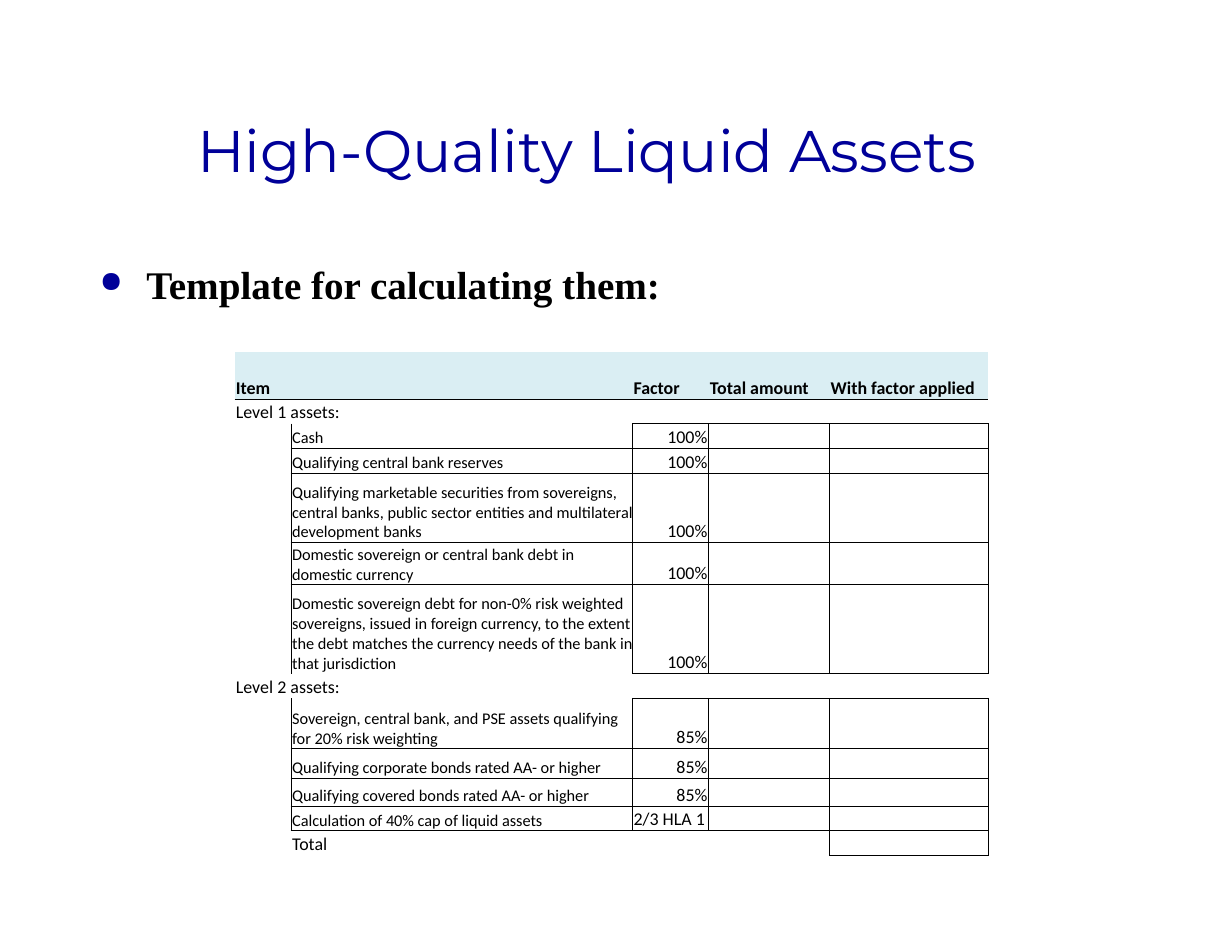
from lxml.etree import SubElement
from pptx import Presentation
from pptx.dml.color import RGBColor
from pptx.enum.text import MSO_ANCHOR, PP_ALIGN
from pptx.oxml.ns import qn
from pptx.util import Pt

PX = 9144
COLORS = {"navy": "000099", "black": "000000", "header": "DAEEF3", "white": "FFFFFF"}


def write(paragraph, text, color="black", **font):
    run = paragraph.add_run()
    run.text = text
    run.font.color.rgb = RGBColor.from_string(COLORS[color])
    for name, value in font.items():
        setattr(run.font, name, value)


def draw_borders(cell, sides, width):
    properties = cell._tc.get_or_add_tcPr()
    for side in sides:
        line = SubElement(properties, qn(f"a:ln{side}"), w=str(Pt(width)))
        fill = SubElement(line, qn("a:solidFill"))
        SubElement(fill, qn("a:srgbClr"), val=COLORS["black"])


presentation = Presentation()
presentation.slide_width = 1050 * PX
presentation.slide_height = 800 * PX
slide = presentation.slides.add_slide(presentation.slide_layouts[6])

title_area = slide.shapes.add_textbox(75 * PX, 67 * PX, 850 * PX, 125 * PX)
title_area.fill.solid()
title_area.fill.fore_color.rgb = RGBColor.from_string(COLORS["white"])
title = title_area.text_frame
title.word_wrap = True
title.vertical_anchor = MSO_ANCHOR.MIDDLE
heading = title.paragraphs[0]
for name, value in {"alignment": PP_ALIGN.CENTER, "line_spacing": 0.95}.items():
    setattr(heading, name, value)
write(heading, "High-Quality Liquid Assets", "navy", name="Montserrat", size=Pt(36))

body = slide.shapes.add_textbox(75 * PX, 217 * PX, 850 * PX, 450 * PX).text_frame
body.word_wrap = True
intro = body.paragraphs[0]
intro.space_before = Pt(4.8)
intro_properties = intro._p.get_or_add_pPr()
intro_properties.set("marL", str(40 * PX))
intro_properties.set("indent", str(-40 * PX))
bullet_color = SubElement(intro_properties, qn("a:buClr"))
SubElement(bullet_color, qn("a:srgbClr"), val=COLORS["navy"])
SubElement(intro_properties, qn("a:buSzPct"), val="75000")
SubElement(intro_properties, qn("a:buChar"), char="●")
write(intro, "Template for calculating them:", name="Times New Roman", size=Pt(24), bold=True)

HEADER = ["Item", "", "Factor", "Total amount", "With factor applied"]
ROWS = [
    (40, "header", HEADER),
    (21, "level", ["Level 1 assets:"]),
    (21, "asset", ["", "Cash", "100%"]),
    (21, "asset", ["", "Qualifying central bank reserves", "100%"]),
    (59, "asset", ["", "Qualifying marketable securities from sovereigns, central banks, "
                   "public sector entities and multilateral development banks", "100%"]),
    (36, "asset", ["", "Domestic sovereign or central bank debt in domestic currency", "100%"]),
    (76, "asset", ["", "Domestic sovereign debt for non-0% risk weighted sovereigns, issued in "
                   "foreign currency, to the extent the debt matches the currency needs of "
                   "the bank in that jurisdiction", "100%"]),
    (21, "level", ["Level 2 assets:"]),
    (43, "asset", ["", "Sovereign, central bank, and PSE assets qualifying for 20% risk weighting",
                   "85%"]),
    (25, "asset", ["", "Qualifying corporate bonds rated AA- or higher", "85%"]),
    (24, "asset", ["", "Qualifying covered bonds rated AA- or higher", "85%"]),
    (21, "asset", ["", "Calculation of 40% cap of liquid assets", "2/3 HLA 1"]),
    (21, "total", ["", "Total"]),
]
COLUMN_WIDTHS = [48, 291, 65, 103, 135]
BORDERS = {
    "header": ["B"] * 5,
    "level": ["", "", "B", "B", "B"],
    "asset": ["R", "LRB", "LRTB", "LRTB", "LRTB"],
    "total": ["", "T", "T", "TR", "LRTB"],
}
CELL_FORMAT = {
    "vertical_anchor": MSO_ANCHOR.BOTTOM,
    "margin_left": PX, "margin_right": PX, "margin_top": PX, "margin_bottom": 0,
}

assets_frame = slide.shapes.add_table(
    len(ROWS), len(COLUMN_WIDTHS), 200 * PX, 300 * PX,
    sum(COLUMN_WIDTHS) * PX, sum(row[0] for row in ROWS) * PX)
assets = assets_frame.table
assets.first_row = False
assets.horz_banding = False
assets._tbl.tblPr.find(qn("a:tableStyleId")).text = "{2D5ABB26-0587-4C30-8999-92F81FD0307C}"
for column, width in zip(assets.columns, COLUMN_WIDTHS):
    column.width = width * PX

for row_index, (height, kind, texts) in enumerate(ROWS):
    assets.rows[row_index].height = height * PX
    ends_level = row_index + 1 < len(ROWS) and ROWS[row_index + 1][1] == "level"
    for column_index, sides in enumerate(BORDERS[kind]):
        cell = assets.cell(row_index, column_index)
        for name, value in CELL_FORMAT.items():
            setattr(cell, name, value)
        is_asset_name = kind == "asset" and column_index == 1
        if is_asset_name:
            cell.margin_right = 0
            if ends_level:
                sides = "LR"
        draw_borders(cell, sides, 0.75 if kind == "header" else 0.5)
        if kind == "header":
            cell.fill.solid()
            cell.fill.fore_color.rgb = RGBColor.from_string(COLORS["header"])
        else:
            cell.fill.background()
        entry = cell.text_frame.paragraphs[0]
        text = texts[column_index] if column_index < len(texts) else ""
        if text:
            if text.endswith("%"):
                entry.alignment = PP_ALIGN.RIGHT
            size = 10 if is_asset_name else 11
            write(entry, text, name="Calibri", size=Pt(size), bold=kind == "header")
        else:
            SubElement(entry._p, qn("a:endParaRPr"), sz="1000")
    if kind == "level":
        assets.cell(row_index, 0).merge(assets.cell(row_index, 1))

presentation.save("out.pptx")
